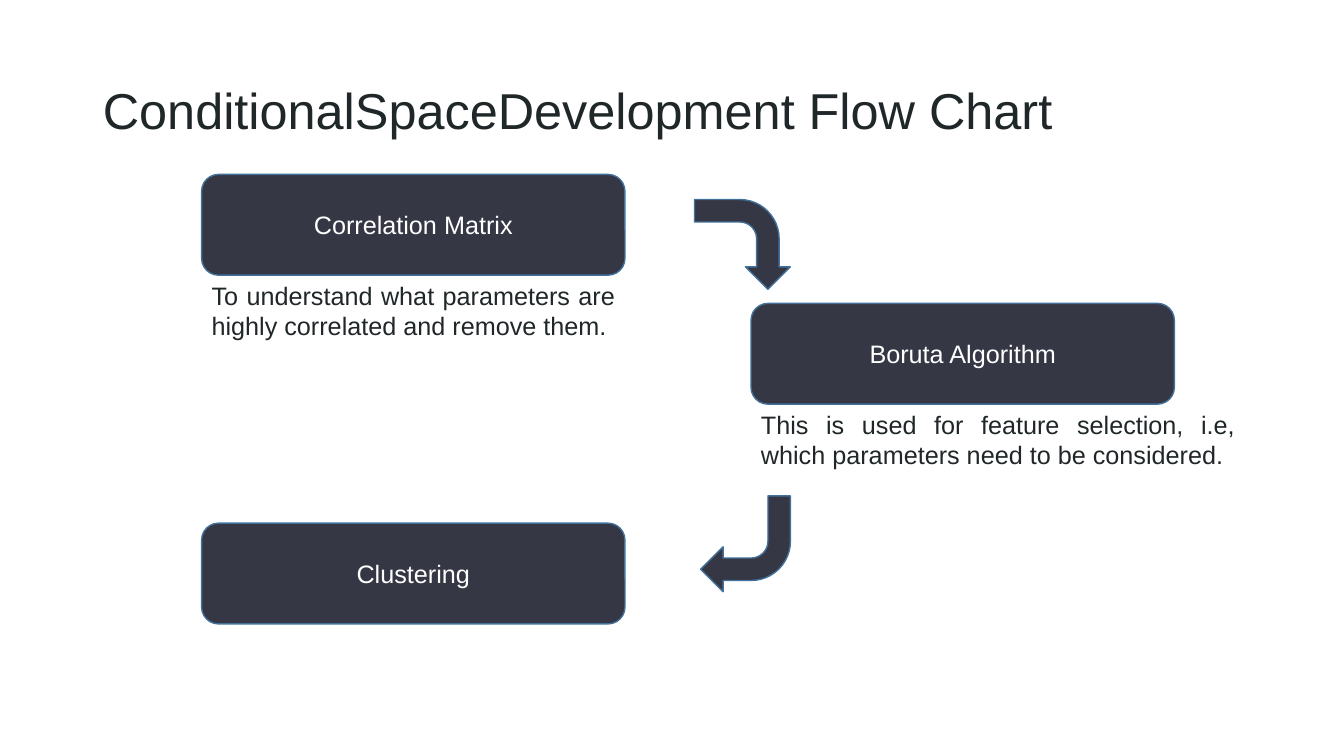
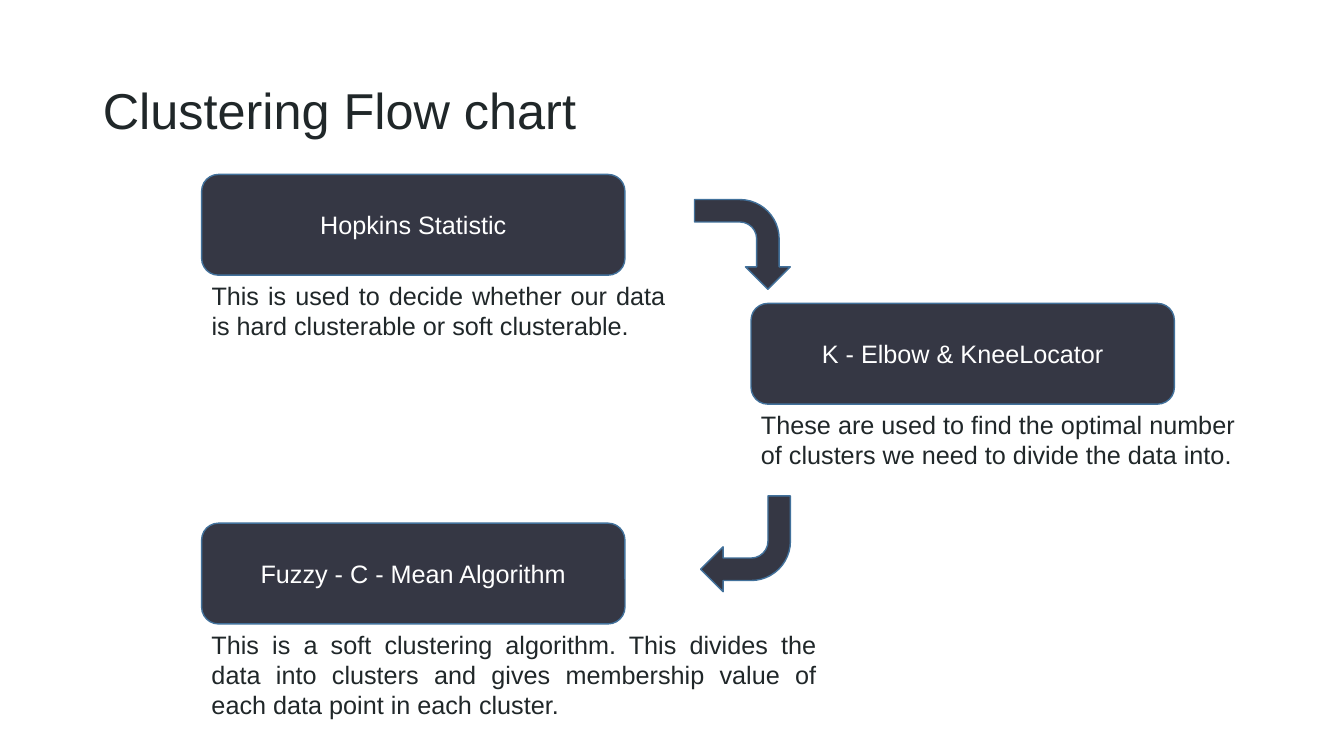
from pptx import Presentation
from pptx.dml.color import RGBColor
from pptx.enum.shapes import MSO_SHAPE
from pptx.enum.text import MSO_ANCHOR, MSO_AUTO_SIZE, PP_ALIGN
from pptx.util import Inches, Pt

ROUNDED, BENT_ARROW = MSO_SHAPE.ROUNDED_RECTANGLE, MSO_SHAPE.BENT_ARROW
LEFT, CENTER, JUSTIFY = PP_ALIGN.LEFT, PP_ALIGN.CENTER, PP_ALIGN.JUSTIFY
TOP, MIDDLE = MSO_ANCHOR.TOP, MSO_ANCHOR.MIDDLE
NO_FIT, GROW = MSO_AUTO_SIZE.NONE, MSO_AUTO_SIZE.SHAPE_TO_FIT_TEXT
TITLE_ONLY = 5

# Lengths are percentages of the slide's width and height.
STEP_WIDTH, STEP_HEIGHT = 31.5, 13.33
STEP_PLACES = [(15, 23.07), (55.88, 40.13), (15, 69.2)]
ARROWS = [(51.9, 26, 90), (52.13, 65.6, 180)]
ARROW_SIZE = (6.68, 12.67)
LINE_HEIGHT, TEXT_MARGIN = 4, 1.33

# Each step: name, then description, its width and its number of lines.
FLOW_CHARTS = [
    ("ConditionalSpaceDevelopment Flow Chart", [
        ("Correlation Matrix",
         ("To understand what parameters are highly correlated and remove them.",
          STEP_WIDTH, 2)),
        ("Boruta Algorithm",
         ("This is used for feature selection, i.e, which parameters need to be "
          "considered.", 36.75, 2)),
        ("Clustering", None),
    ]),
    ("Clustering Flow chart", [
        ("Hopkins Statistic",
         ("This is used to decide whether our data is hard clusterable or soft "
          "clusterable.", 35.25, 2)),
        ("K - Elbow & KneeLocator",
         ("These are used to find the optimal number of clusters we need to divide "
          "the data into.", 36.75, 2)),
        ("Fuzzy - C - Mean Algorithm",
         ("This is a soft clustering algorithm. This divides the data into clusters "
          "and gives membership value of each data point in each cluster.", 46.5, 3)),
    ]),
]


def color(value):
    return RGBColor.from_string(value)


class FlowDeck:
    FONT = "Arial"
    INK, FILL, OUTLINE, WHITE = "202729", "353744", "42719B", "FFFFFF"

    def __init__(self):
        self.deck = Presentation()
        self.deck.slide_width, self.deck.slide_height = Inches(13.33), Inches(7.5)
        self.page = None

    def frame(self, left, top, width, height):
        """Turn percentages of the slide into lengths."""
        across, down = self.deck.slide_width / 100, self.deck.slide_height / 100
        return (round(left * across), round(top * down),
                round(width * across), round(height * down))

    def set_text(self, box, text, size, ink, align, anchor, fit=NO_FIT):
        text_frame = box.text_frame
        text_frame.text = text
        text_frame.word_wrap = True
        text_frame.auto_size = fit
        text_frame.vertical_anchor = anchor
        para = text_frame.paragraphs[0]
        para.alignment = align
        font = para.runs[0].font
        font.name, font.size = self.FONT, Pt(size)
        font.color.rgb = color(ink)
        return para

    def add_page(self, title):
        self.page = self.deck.slides.add_slide(self.deck.slide_layouts[TITLE_ONLY])
        box = self.page.shapes.title
        box.left, box.top, box.width, box.height = self.frame(6.9, 5.33, 86.27, 19.33)
        para = self.set_text(box, title, 36, self.INK, LEFT, MIDDLE)
        para.line_spacing = 0.9

    def add_solid(self, kind, left, top, width, height):
        shape = self.page.shapes.add_shape(kind, *self.frame(left, top, width, height))
        shape.shadow.inherit = False
        shape.fill.solid()
        shape.fill.fore_color.rgb = color(self.FILL)
        shape.line.color.rgb = color(self.OUTLINE)
        shape.line.width = Pt(1)
        return shape

    def add_step(self, name, left, top):
        box = self.add_solid(ROUNDED, left, top, STEP_WIDTH, STEP_HEIGHT)
        self.set_text(box, name, 18, self.WHITE, CENTER, MIDDLE)

    def add_arrow(self, left, top, rotation):
        self.add_solid(BENT_ARROW, left, top, *ARROW_SIZE).rotation = rotation

    def add_description(self, text, left, top, width, lines):
        height = lines * LINE_HEIGHT + TEXT_MARGIN
        box = self.page.shapes.add_textbox(*self.frame(left, top, width, height))
        self.set_text(box, text, 18, self.INK, JUSTIFY, TOP, GROW)


def main():
    flow = FlowDeck()
    for title, steps in FLOW_CHARTS:
        flow.add_page(title)
        for (name, description), (left, top) in zip(steps, STEP_PLACES):
            flow.add_step(name, left, top)
            if description:
                text, width, lines = description
                flow.add_description(text, left, top + STEP_HEIGHT, width, lines)
        for arrow in ARROWS:
            flow.add_arrow(*arrow)
    flow.deck.save("out.pptx")


if __name__ == "__main__":
    main()
